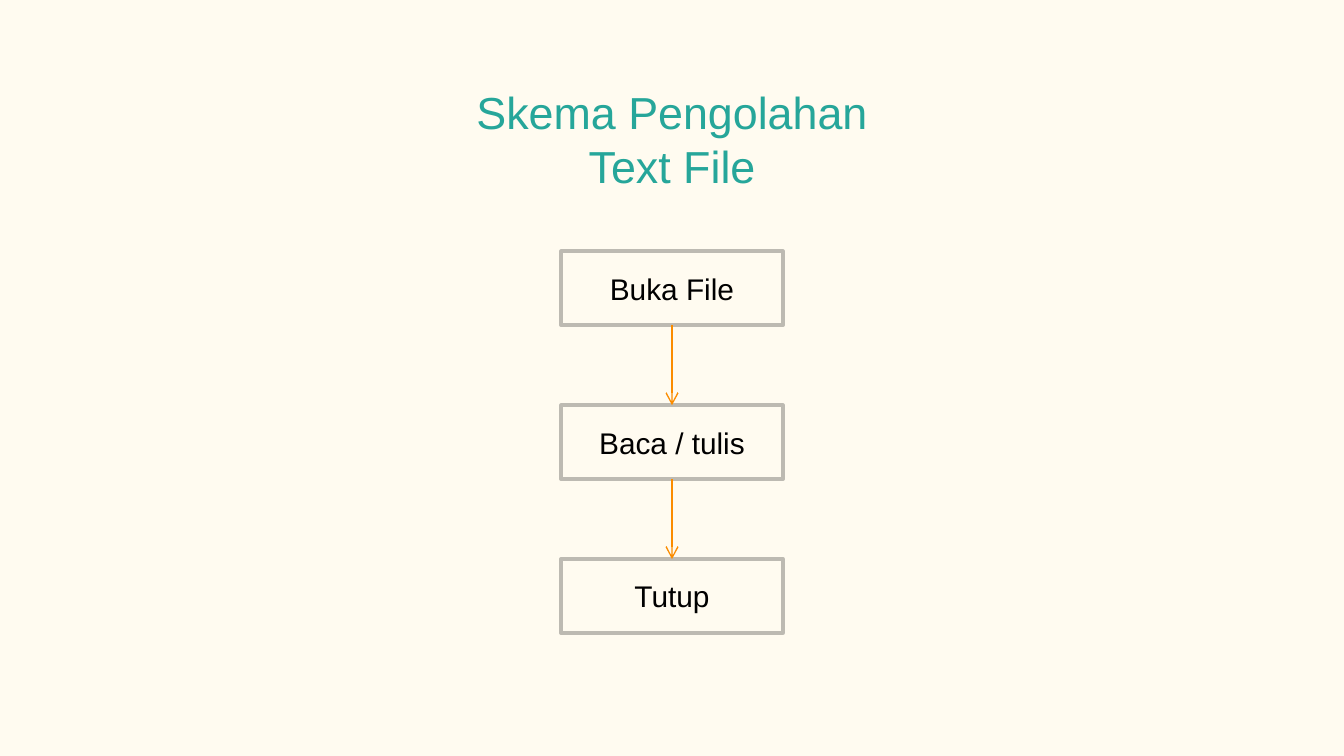
from dataclasses import dataclass

from lxml import etree
from pptx import Presentation
from pptx.dml.color import RGBColor
from pptx.enum.shapes import MSO_CONNECTOR, MSO_SHAPE
from pptx.enum.text import MSO_ANCHOR, MSO_AUTO_SIZE, PP_ALIGN
from pptx.oxml.ns import qn
from pptx.shapes.autoshape import Shape
from pptx.slide import Slide
from pptx.util import Inches, Pt

RECTANGLE = MSO_SHAPE.RECTANGLE
STRAIGHT = MSO_CONNECTOR.STRAIGHT
CENTER = PP_ALIGN.CENTER
TOP, MIDDLE = MSO_ANCHOR.TOP, MSO_ANCHOR.MIDDLE
FIT_SHAPE = MSO_AUTO_SIZE.SHAPE_TO_FIT_TEXT

PAGE_WIDTH = 10
PAGE_HEIGHT = PAGE_WIDTH * 9 / 16
TITLE_ONLY = 5
BOTTOM_SITE, TOP_SITE = 2, 0
FONT = "Arial"
CREAM, TEAL, GRAY, ORANGE, BLACK = "FFFBF0", "26A69A", "BDBAB2", "FB8C00", "000000"

FIRST_STEP_TOP, LAST_STEP_TOP = 1.87, 4.16
STEP_WIDTH, STEP_HEIGHT = 1.65, 0.55
LABELS = ["Buka File", "Baca / tulis", "Tutup"]
STEP_PITCH = (LAST_STEP_TOP - FIRST_STEP_TOP) / (len(LABELS) - 1)


@dataclass
class Step:
    label: str
    row: int

    @property
    def top(self) -> float:
        return FIRST_STEP_TOP + self.row * STEP_PITCH


def color(hex_value: str) -> RGBColor:
    return RGBColor.from_string(hex_value)


def place_centered(box: Shape, top: float, width: float, height: float) -> None:
    box.left, box.top = Inches((PAGE_WIDTH - width) / 2), Inches(top)
    box.width, box.height = Inches(width), Inches(height)


def write(box: Shape, text: str, size: int, hex_value: str, anchor: MSO_ANCHOR) -> None:
    frame = box.text_frame
    frame.word_wrap = True
    frame.vertical_anchor = anchor
    para = frame.paragraphs[0]
    para.alignment = CENTER
    span = para.add_run()
    span.text = text
    span.font.name = FONT
    span.font.size = Pt(size)
    span.font.color.rgb = color(hex_value)


def draw_title(page: Slide, text: str) -> None:
    title = page.shapes.title
    place_centered(title, 0.58, 3.54, 0.91)
    write(title, text, 24, TEAL, TOP)
    title.text_frame.auto_size = FIT_SHAPE


def draw_step(page: Slide, step: Step) -> Shape:
    box = page.shapes.add_shape(RECTANGLE, 0, 0, 0, 0)
    place_centered(box, step.top, STEP_WIDTH, STEP_HEIGHT)
    box.shadow.inherit = False
    box.fill.solid()
    box.fill.fore_color.rgb = color(CREAM)
    box.line.color.rgb = color(GRAY)
    box.line.width = Pt(2)
    write(box, step.label, 16, BLACK, MIDDLE)
    return box


def draw_arrow(page: Slide, upper: Shape, lower: Shape) -> None:
    arrow = page.shapes.add_connector(STRAIGHT, 0, 0, 0, 0)
    arrow.begin_connect(upper, BOTTOM_SITE)
    arrow.end_connect(lower, TOP_SITE)
    arrow.line.color.rgb = color(ORANGE)
    arrow.line.width = Pt(0.75)
    line = arrow._element.spPr.find(qn("a:ln"))
    etree.SubElement(line, qn("a:tailEnd"), type="arrow")
    etree.SubElement(arrow._element.spPr, qn("a:effectLst"))


def main() -> None:
    deck = Presentation()
    deck.slide_width, deck.slide_height = Inches(PAGE_WIDTH), Inches(PAGE_HEIGHT)
    page = deck.slides.add_slide(deck.slide_layouts[TITLE_ONLY])
    page.background.fill.solid()
    page.background.fill.fore_color.rgb = color(CREAM)

    draw_title(page, "Skema Pengolahan Text File")
    boxes = [draw_step(page, Step(label, row)) for row, label in enumerate(LABELS)]
    for upper, lower in zip(boxes, boxes[1:]):
        draw_arrow(page, upper, lower)

    deck.save("out.pptx")


if __name__ == "__main__":
    main()
